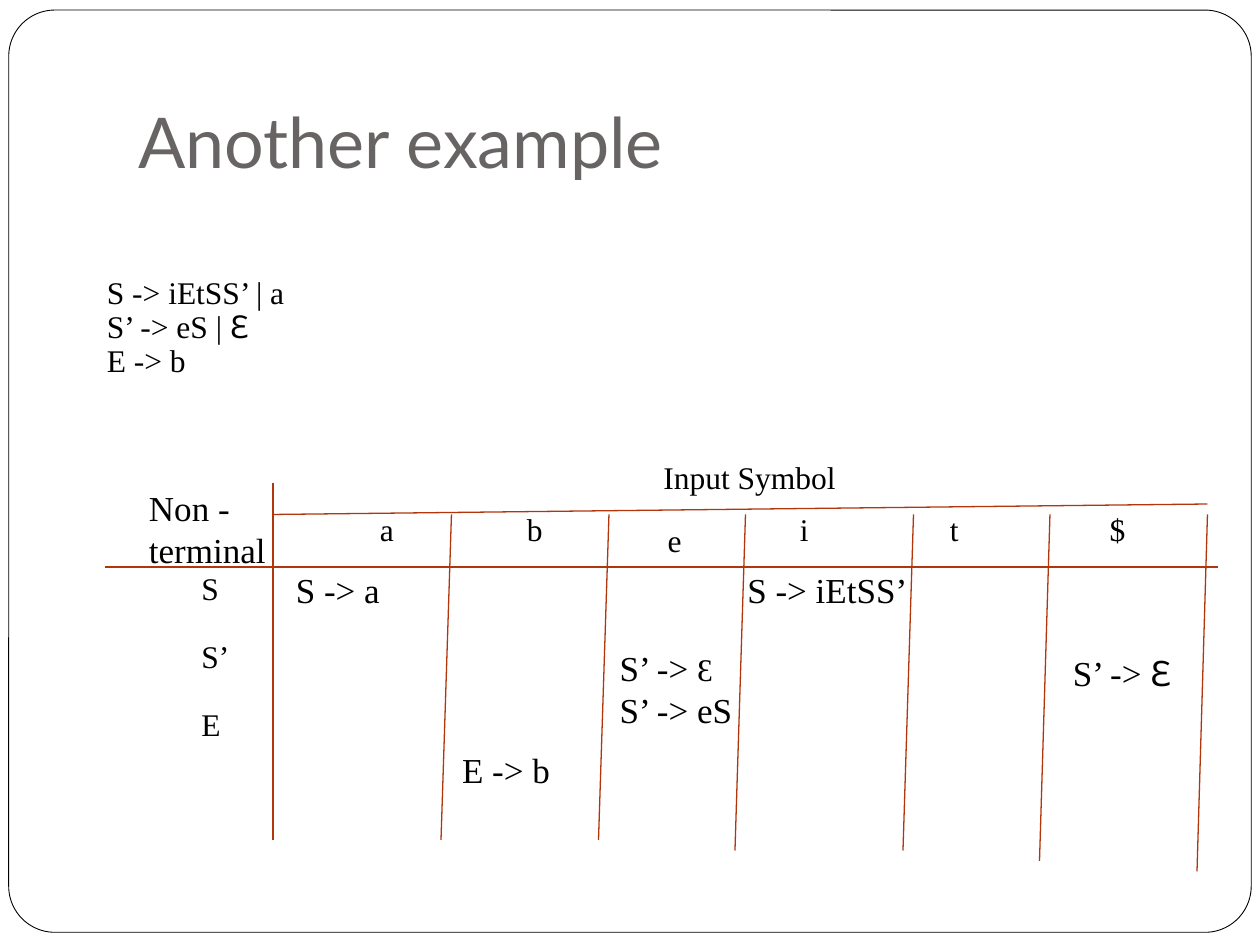
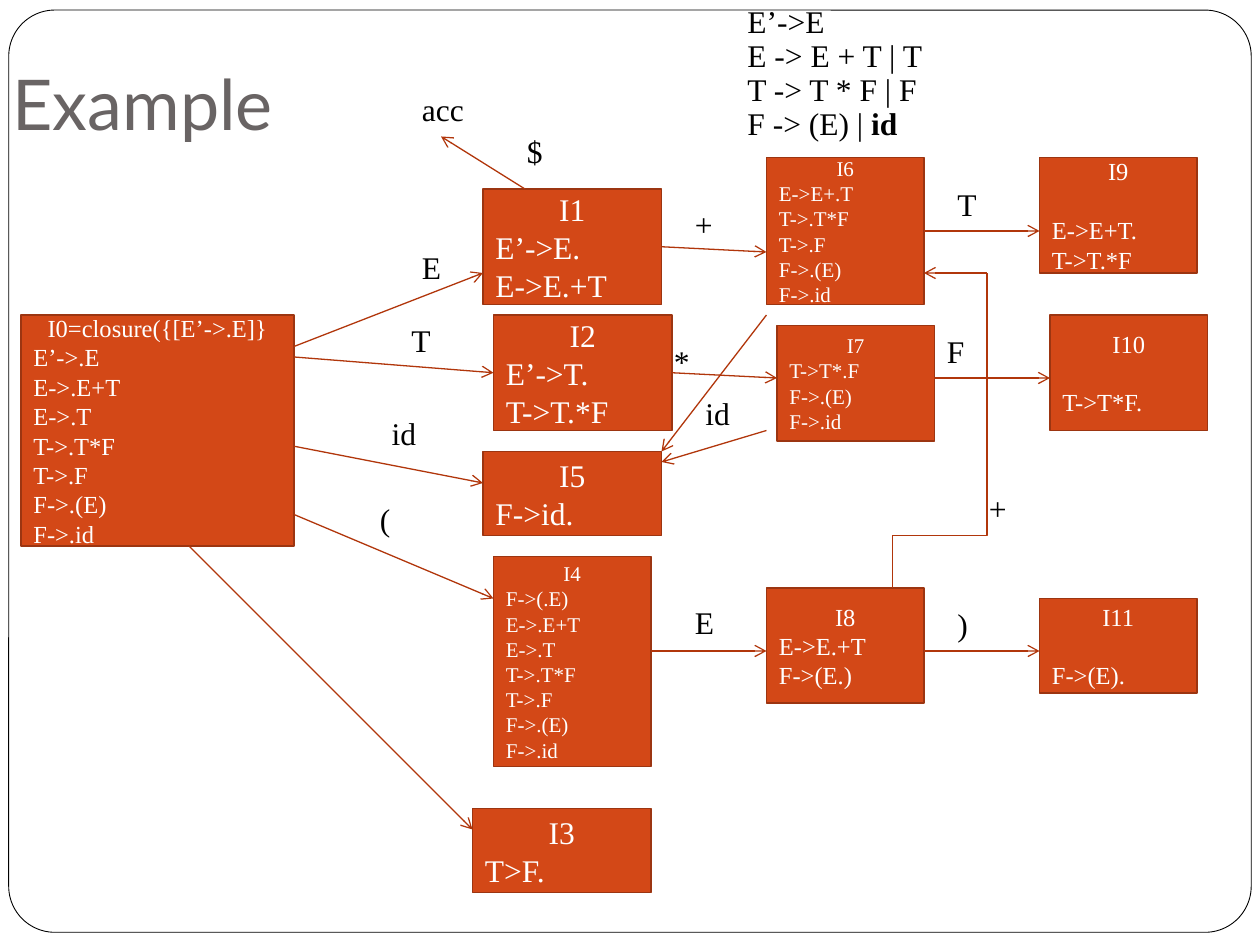
from pptx import Presentation
from pptx.dml.color import RGBColor
from pptx.enum.shapes import MSO_CONNECTOR, MSO_SHAPE
from pptx.enum.text import MSO_ANCHOR, MSO_AUTO_SIZE, PP_ALIGN
from pptx.oxml.ns import qn
from pptx.util import Pt
from lxml import etree

STRAIGHT, ELBOW = MSO_CONNECTOR.STRAIGHT, MSO_CONNECTOR.ELBOW
RECT, ROUNDED = MSO_SHAPE.RECTANGLE, MSO_SHAPE.ROUNDED_RECTANGLE
TOP, MIDDLE, BOTTOM = MSO_ANCHOR.TOP, MSO_ANCHOR.MIDDLE, MSO_ANCHOR.BOTTOM
LEFT, CENTER = PP_ALIGN.LEFT, PP_ALIGN.CENTER
GROW, FIXED = MSO_AUTO_SIZE.SHAPE_TO_FIT_TEXT, MSO_AUTO_SIZE.NONE

BLACK, WHITE, GREY = "000000", "FFFFFF", "696464"
ORANGE, BORDER, RULE = "D34817", "9C3511", "B1360B"
SERIF, SANS, SYMBOL = "Times New Roman", "Lato", "Noto Sans CJK JP"


def rgb(color):
    return RGBColor.from_string(color)


class Deck:
    """Holds the shared style and the current slide."""

    def __init__(self):
        self.prs = Presentation()
        self.prs.slide_width, self.prs.slide_height = Pt(720), Pt(540)

    def new_slide(self, title, left, top, width, height):
        self.slide = self.prs.slides.add_slide(self.prs.slide_layouts[5])
        self.shapes = self.slide.shapes
        self.boxes = []
        # Rounded frame behind everything
        frame = self.shape(ROUNDED, (5, 5.75, 710, 527), WHITE, BLACK, 0.5)
        frame.adjustments[0] = 0.05
        self.shapes.element.insert(2, frame._element)
        # Title
        sp = self.shapes.title
        sp.left, sp.top, sp.width, sp.height = map(Pt, (left, top, width, height))
        tf = sp.text_frame
        tf.auto_size, tf.vertical_anchor = FIXED, BOTTOM
        tf.margin_left = tf.margin_right = tf.margin_bottom = Pt(7.2)
        tf.margin_top = Pt(3.6)
        tf.paragraphs[0].alignment = LEFT
        self.runs(tf.paragraphs[0], title, 40, GREY, SANS)

    def shape(self, kind, area, fill, line, weight):
        sp = self.shapes.add_shape(kind, *map(Pt, area))
        sp.shadow.inherit = False
        sp.fill.solid()
        sp.fill.fore_color.rgb = rgb(fill)
        sp.line.color.rgb = rgb(line)
        sp.line.width = Pt(weight)
        return sp

    def runs(self, p, parts, size, color=BLACK, font=SERIF):
        """Parts are a string, or a list of strings and (text, font changes)."""
        for part in [parts] if isinstance(parts, str) else parts:
            text, changes = (part, {}) if isinstance(part, str) else part
            r = p.add_run()
            r.text = text
            r.font.size = Pt(changes.get("size", size))
            r.font.name = changes.get("font", font)
            r.font.bold = changes.get("bold", False)
            r.font.color.rgb = rgb(color)

    def text(self, left, top, width, height, lines, size=18, wrap=False,
             hanging=False, gap=0):
        sp = self.shapes.add_textbox(*map(Pt, (left, top, width, height)))
        tf = sp.text_frame
        tf.word_wrap, tf.auto_size = wrap, GROW
        for i, line in enumerate(lines):
            p = tf.paragraphs[0] if i == 0 else tf.add_paragraph()
            if hanging:
                pPr = p._p.get_or_add_pPr()
                pPr.set("marL", str(Pt(36)))
                pPr.set("indent", str(-Pt(36)))
                p.line_spacing = 0.9
            if i and gap:
                p.space_before = Pt(gap)
            self.runs(p, line, size)

    def label(self, left, top, text, width=30):
        self.text(left, top, width, 36, [text])

    def state(self, left, top, width, height, size, name, items, gap=0):
        sp = self.shape(RECT, (left, top, width, height), ORANGE, BORDER, 1)
        self.boxes.append(sp)
        tf = sp.text_frame
        tf.word_wrap, tf.vertical_anchor = True, MIDDLE
        p = tf.paragraphs[0]
        p.alignment = CENTER
        self.runs(p, name, size, WHITE)
        for i, item in enumerate(items):
            p = tf.add_paragraph()
            p.alignment = LEFT
            if i == 0 and gap:
                p.space_before = Pt(gap)
            self.runs(p, item, size, WHITE)

    def side_at(self, x, y):
        """Find the box and side whose middle lies at a point."""
        for sp in self.boxes:
            mx, my = sp.left + sp.width / 2, sp.top + sp.height / 2
            sides = ((mx, sp.top), (sp.left, my),
                     (mx, sp.top + sp.height), (sp.left + sp.width, my))
            for i, (sx, sy) in enumerate(sides):
                if abs(sx - Pt(x)) + abs(sy - Pt(y)) < Pt(0.5):
                    return sp, i
        return None

    def line(self, x1, y1, x2, y2, arrow=False, kind=STRAIGHT):
        cx = self.shapes.add_connector(kind, *map(Pt, (x1, y1, x2, y2)))
        cx.line.color.rgb = rgb(RULE)
        cx.line.width = Pt(0.75)
        if kind == STRAIGHT:
            start, end = self.side_at(x1, y1), self.side_at(x2, y2)
            if start:
                cx.begin_connect(*start)
            if end:
                cx.end_connect(*end)
        if arrow:
            etree.SubElement(cx.line._get_or_add_ln(), qn("a:tailEnd"), type="arrow")
        etree.SubElement(cx._element.spPr, qn("a:effectLst"))
        return cx

    def rising_elbow(self, x1, y1, x2, y2):
        """Elbow that leaves upwards: a level elbow turned by 90 degrees."""
        mx, my = (x1 + x2) / 2, (y1 + y2) / 2
        dx, dy = abs(y2 - y1) / 2, abs(x2 - x1) / 2
        cx = self.line(mx + dx, my + dy, mx - dx, my - dy, kind=ELBOW)
        cx._element.spPr.find(qn("a:xfrm")).set("rot", "5400000")


def parsing_table(deck):
    deck.new_slide("Another example", 72, 21.6, 612, 90)
    epsilon = ("Ɛ", {"font": SYMBOL})
    deck.text(54, 154.8, 186, 85, ["S -> iEtSS’ | a", ["S’ -> eS | ", epsilon], "E -> b"],
              wrap=True, hanging=True)

    # Table rules, with slanted column lines
    deck.line(60, 324, 696, 324)
    deck.line(156, 276, 156, 480)
    deck.line(156, 294, 690, 288)
    for x, bottom in ((258, 480), (348, 480), (426, 486),
                      (522, 486), (600, 492), (690, 498)):
        deck.line(x, 294, x - 6, bottom)

    # Row and column heads
    deck.text(108, 324, 48, 137, ["S", "S’", "E"], wrap=True, hanging=True, gap=19.4)
    deck.text(78, 274.5, 90, 55.4, ["Non -", "terminal"], 20, wrap=True)
    deck.label(372, 258, "Input Symbol", 145.4)
    for x, y, symbol, width in ((210, 288, "a", 25.2), (294, 288, "b", 26.6),
                                (374.4, 294, "e", 25.2), (450, 288, "i", 20.9),
                                (535.7, 288, "t", 20.9), (627, 288, "$", 26.6)):
        deck.label(x, y, symbol, width)

    # Table entries
    deck.text(162, 324, 62.6, 28.8, ["S -> a"], 20, hanging=True)
    deck.text(420, 324, 105.8, 28.8, ["S -> iEtSS’"], 20, wrap=True, hanging=True)
    deck.text(347, 366, 85, 59.8, [["S’ -> ", ("Ɛ", {"size": 18})], "S’ -> eS"], 20)
    deck.text(606, 371.5, 72, 28.8, [["S’ -> ", epsilon]], 20, hanging=True)
    deck.text(257, 427, 64.8, 28.8, ["E -> b"], 20, hanging=True)


def lr_automaton(deck):
    deck.new_slide("Example", 0, 0, 648, 90)
    deck.text(420, 0, 300, 85.7,
              ["E’->E", "E -> E + T | T", "T -> T * F | F",
               ["F -> (E) | ", ("id", {"bold": True})]], wrap=True, hanging=True)

    # Item sets
    f_items = ["F->.(E)", "F->.id"]
    t_items = ["T->.T*F", "T->.F"] + f_items
    e_items = ["E->.E+T", "E->.T"] + t_items
    blank = 16.8
    for state in (
        (12, 180, 156, 132, 14, "I0=closure({[E’->.E]}", ["E’->.E"] + e_items),
        (276, 108, 102, 66, 18, "I1", ["E’->E.", "E->E.+T"]),
        (282, 180, 102, 66, 18, "I2", ["E’->T.", "T->T.*F"]),
        (270, 462, 102, 48, 18, "I3", ["T>F."]),
        (282, 318, 90, 120, 12, "I4", ["F->(.E)"] + e_items),
        (276, 258, 102, 48, 18, "I5", ["F->id."]),
        (438, 90, 90, 84, 12, "I6", ["E->E+.T"] + t_items),
        (444, 186, 90, 66, 12, "I7", ["T->T*.F"] + f_items),
        (438, 336, 90, 66, 14, "I8", ["E->E.+T", "F->(E.)"]),
        (594, 90, 90, 66, 14, "I9", ["E->E+T.", "T->T.*F"], blank),
        (600, 180, 90, 66, 14, "I10", ["T->T*F."], blank),
        (594, 342, 90, 54, 14, "I11", ["F->(E)."], blank),
    ):
        deck.state(*state)

    # Transitions
    for ends in (
        (168, 198, 276, 156), (168, 204, 282, 213), (168, 294, 282, 342),
        (168, 255, 276, 276), (108, 312, 270, 474), (378, 141, 438, 144),
        (384, 213, 444, 216), (372, 372, 438, 372), (528, 372, 594, 372),
        (528, 132, 594, 132), (534, 216, 600, 216), (438, 246, 378, 264),
        (438, 180, 378, 258), (300, 108, 252, 78), (564, 156, 528, 156),
    ):
        deck.line(*ends, arrow=True)
    deck.rising_elbow(510, 336, 564, 276)
    deck.line(564, 276, 564, 156)

    # Transition symbols
    for x, y, symbol, width in (
        (234, 138, "E", 29.5), (228, 180, "T", 29.5), (210, 282, "(", 22.3),
        (216.7, 233.3, "id", 33), (390, 113.8, "+", 29.5), (378, 192, "*", 26.6),
        (390, 341.3, "E", 29.5), (540, 342, ")", 22.3), (540, 102, "T", 29.5),
        (534, 186, "F", 28), (396, 221.8, "id", 33), (558, 276, "+", 28),
        (294, 72, "$", 26.6), (234, 48, "acc", 46.8),
    ):
        deck.label(x, y, symbol, width)


def main():
    deck = Deck()
    parsing_table(deck)
    lr_automaton(deck)
    deck.prs.save("out.pptx")


if __name__ == "__main__":
    main()
